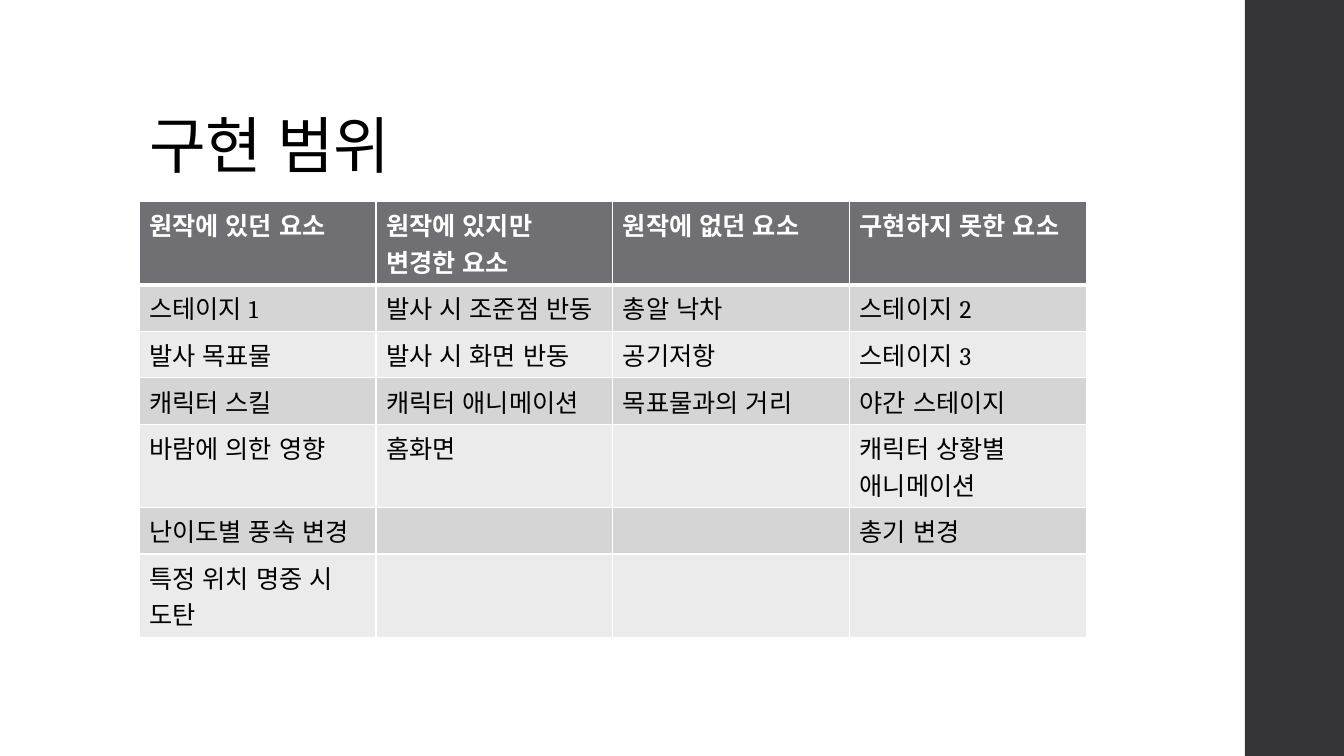
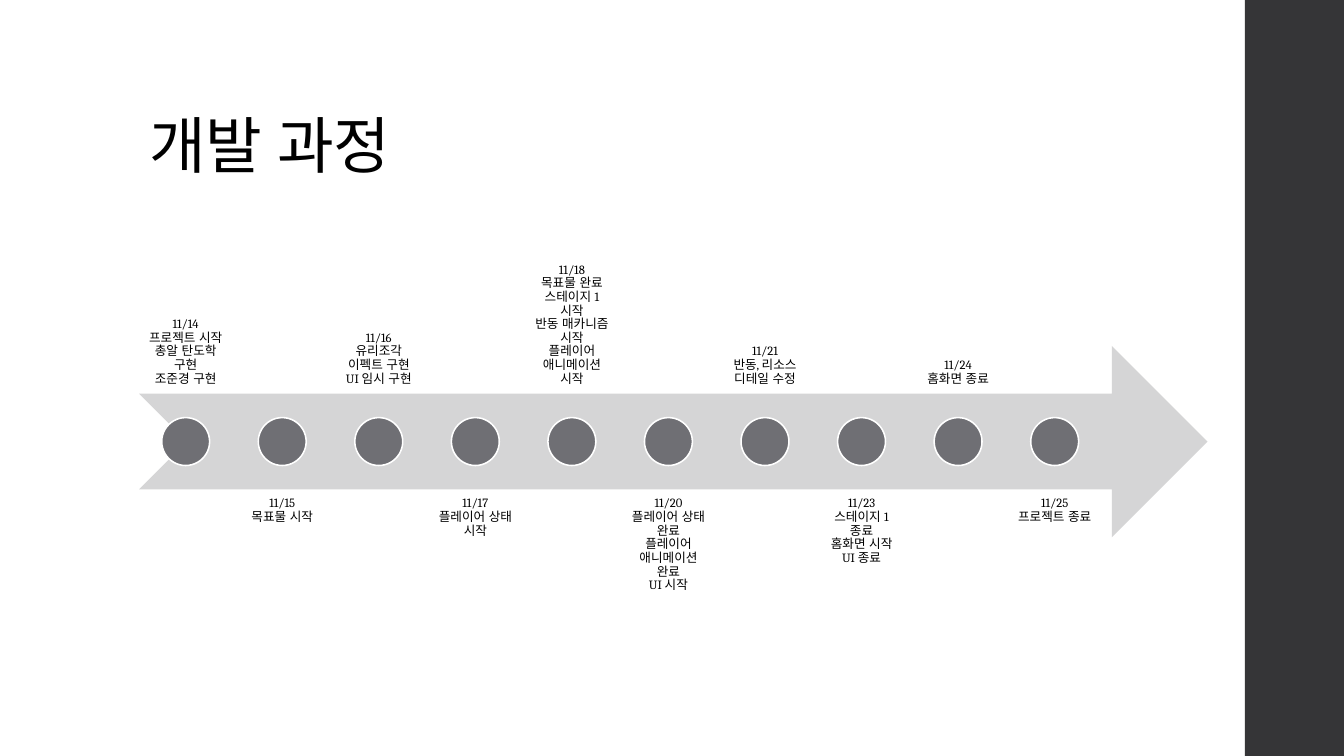
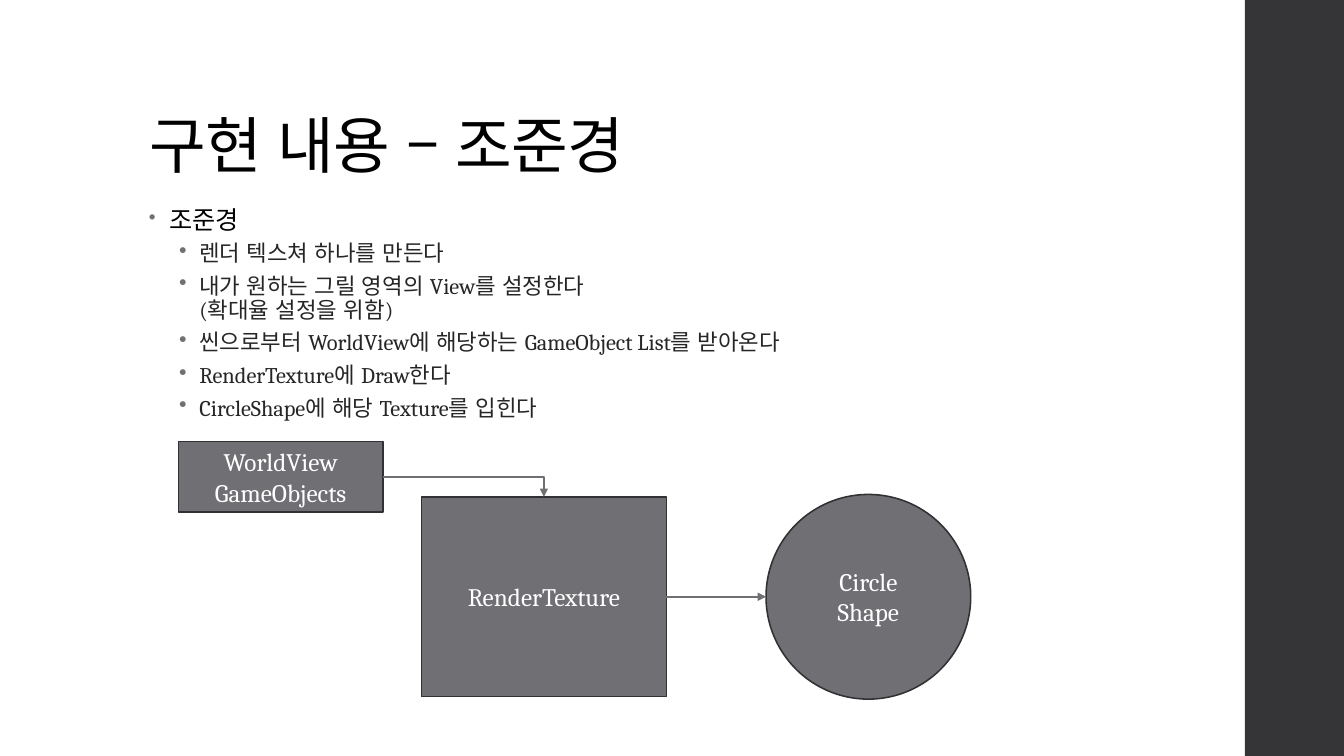
import copy
import dataclasses
import typing

import pptx
import pptx.dml.color
import pptx.enum.lang
import pptx.enum.shapes
import pptx.enum.text
import pptx.oxml
import pptx.oxml.ns
import pptx.util

Pt = pptx.util.Pt
qn = pptx.oxml.ns.qn
SHAPE = pptx.enum.shapes.MSO_SHAPE
CONNECTOR = pptx.enum.shapes.MSO_CONNECTOR
ANCHOR = pptx.enum.text.MSO_ANCHOR
ALIGN = pptx.enum.text.PP_ALIGN

FONT = "Cambria"
BLACK, WHITE, INK = "000000", "FFFFFF", "262626"
CHARCOAL, OUTLINE, GRAY = "353537", "313133", "6F6F74"
PALE, PALER = "D5D5D6", "EBEBEB"

SLIDE_WIDTH, SLIDE_HEIGHT = 960, 540
MARGIN_LEFT = 99.36
CONTENT_TOP = 144
CONTENT_WIDTH = 676.8
FULL_WIDTH = 763.2


@dataclasses.dataclass(frozen=True)
class Box:
    left: float
    top: float
    width: float
    height: float

    @property
    def lengths(self) -> tuple:
        return Pt(self.left), Pt(self.top), Pt(self.width), Pt(self.height)


@dataclasses.dataclass(frozen=True)
class Bullet:
    text: str
    level: int = 1


@dataclasses.dataclass(frozen=True)
class BulletStyle:
    size: float
    color: str
    margin: float
    line_spacing: float
    before: float
    after: float
    bullet_percent: int
    tracking: float


@dataclasses.dataclass(frozen=True)
class Node:
    text: str
    kind: typing.Any
    box: Box


@dataclasses.dataclass(frozen=True)
class Link:
    source: int
    target: int
    source_site: int
    target_site: int
    start: tuple[float, float]
    end: tuple[float, float]
    bent: bool = False


SCOPE_ROWS = [
    ["원작에 있던 요소", "원작에 있지만 변경한 요소", "원작에 없던 요소", "구현하지 못한 요소"],
    ["스테이지 1", "발사 시 조준점 반동", "총알 낙차", "스테이지 2"],
    ["발사 목표물", "발사 시 화면 반동", "공기저항", "스테이지 3"],
    ["캐릭터 스킬", "캐릭터 애니메이션", "목표물과의 거리", "야간 스테이지"],
    ["바람에 의한 영향", "홈화면", "", "캐릭터 상황별\n애니메이션"],
    ["난이도별 풍속 변경", "", "", "총기 변경"],
    ["특정 위치 명중 시 도탄", "", "", ""],
]

MILESTONES = [
    "11/14\n프로젝트 시작\n총알 탄도학 구현\n조준경 구현",
    "11/15\n목표물 시작",
    "11/16\n유리조각 이펙트 구현\nUI 임시 구현",
    "11/17\n플레이어 상태 시작",
    "11/18\n목표물 완료\n스테이지 1 시작\n반동 매카니즘 시작\n플레이어 애니메이션 시작",
    "11/20\n플레이어 상태 완료\n플레이어 애니메이션 완료\nUI 시작",
    "11/21\n반동, 리소스 디테일 수정",
    "11/23\n스테이지 1 종료\n홈화면 시작\nUI 종료",
    "11/24\n홈화면 종료",
    "11/25\n프로젝트 종료",
]

SCOPE_STEPS = [
    Bullet("조준경", 0),
    Bullet("렌더 텍스쳐 하나를 만든다"),
    Bullet("내가 원하는 그릴 영역의 View를 설정한다\n(확대율 설정을 위함)"),
    Bullet("씬으로부터 WorldView에 해당하는 GameObject List를 받아온다"),
    Bullet("RenderTexture에 Draw한다"),
    Bullet("CircleShape에 해당 Texture를 입힌다"),
]

BULLET_STYLES = [
    BulletStyle(18, BLACK, 14.4, 0.95, 14, 2, 80, 0.1),
    BulletStyle(16, INK, 36, 0.9, 3, 3, 100, 0),
]

NODES = [
    Node("RenderTexture", SHAPE.RECTANGLE, Box(301, 355, 175, 142.6)),
    Node("Circle\nShape", SHAPE.OVAL, Box(547.2, 353.2, 146.2, 146.2)),
    Node("WorldView\nGameObjects", SHAPE.RECTANGLE, Box(127.4, 315.4, 146.2, 50.4)),
]

LINKS = [
    Link(0, 1, 3, 2, (476, 426.3), (547.2, 426.3)),
    Link(2, 0, 3, 0, (273.6, 340.6), (388.5, 355), bent=True),
]


def rgb(color: str) -> pptx.dml.color.RGBColor:
    return pptx.dml.color.RGBColor.from_string(color)


def add_xml(parent: typing.Any, tag: str, **attributes: str) -> typing.Any:
    child = pptx.oxml.parse_xml(f"<{tag} {pptx.oxml.ns.nsdecls('a')}/>")
    for key, value in attributes.items():
        child.set(key, value)
    parent.append(child)
    return child


def style_paragraph(paragraph: typing.Any, size: float, color: str, bold: bool = False,
                    tracking: float = 0) -> None:
    for run in paragraph.runs:
        run.font.name = FONT
        run.font.size = Pt(size)
        run.font.bold = bold
        run.font.color.rgb = rgb(color)
        run.font.language_id = pptx.enum.lang.MSO_LANGUAGE_ID.KOREAN
        if tracking:
            run.font._element.set("spc", str(round(tracking * 100)))
    for line_break in paragraph._p.findall(qn("a:br")):
        line_break.append(copy.deepcopy(paragraph.runs[0].font._element))


def add_shape(slide: typing.Any, kind: typing.Any, box: Box, fill: str,
              outline: str | None = None) -> typing.Any:
    shape = slide.shapes.add_shape(kind, *box.lengths)
    shape.shadow.inherit = False
    shape.fill.solid()
    shape.fill.fore_color.rgb = rgb(fill)
    if outline:
        shape.line.color.rgb = rgb(outline)
        shape.line.width = Pt(1.1)
    else:
        shape.line.fill.background()
    return shape


def add_titled_slide(deck: typing.Any, heading: str) -> typing.Any:
    slide = deck.slides.add_slide(deck.slide_layouts[5])
    band_left = 889.2
    add_shape(slide, SHAPE.RECTANGLE,
              Box(band_left, 0, SLIDE_WIDTH - band_left, SLIDE_HEIGHT), CHARCOAL)
    title = slide.shapes.title
    title.left, title.top, title.width, title.height = Box(
        MARGIN_LEFT, 28.8, FULL_WIDTH, 104.4).lengths
    frame = title.text_frame
    frame.auto_size = pptx.enum.text.MSO_AUTO_SIZE.NONE
    frame.vertical_anchor = ANCHOR.BOTTOM
    paragraph = frame.paragraphs[0]
    paragraph.text = heading
    paragraph.alignment = ALIGN.LEFT
    paragraph.line_spacing = 0.9
    style_paragraph(paragraph, 44, BLACK, tracking=-0.5)
    return slide


def add_text_frame(slide: typing.Any, box: Box) -> typing.Any:
    frame = slide.shapes.add_textbox(*box.lengths).text_frame
    frame.word_wrap = True
    return frame


def add_cell_borders(cell: typing.Any, top: float, bottom: float) -> None:
    properties = cell._tc.get_or_add_tcPr()
    for side, width in (("L", 1), ("R", 1), ("T", top), ("B", bottom)):
        border = add_xml(properties, f"a:ln{side}", w=str(Pt(width)))
        add_xml(add_xml(border, "a:solidFill"), "a:srgbClr", val=WHITE)


def draw_scope(slide: typing.Any) -> None:
    row_height = 29.2
    columns = len(SCOPE_ROWS[0])
    box = Box(MARGIN_LEFT, CONTENT_TOP, CONTENT_WIDTH, row_height * len(SCOPE_ROWS))
    table = slide.shapes.add_table(len(SCOPE_ROWS), columns, *box.lengths).table
    for column in table.columns:
        column.width = Pt(CONTENT_WIDTH / columns)
    for row, texts in enumerate(SCOPE_ROWS):
        header = row == 0
        table.rows[row].height = Pt(row_height)
        fill = GRAY if header else PALE if row % 2 else PALER
        for column, text in enumerate(texts):
            cell = table.cell(row, column)
            add_cell_borders(cell, 3 if row == 1 else 1, 3 if header else 1)
            cell.fill.solid()
            cell.fill.fore_color.rgb = rgb(fill)
            cell.text_frame.text = text
            for paragraph in cell.text_frame.paragraphs:
                style_paragraph(paragraph, 18, WHITE if header else BLACK, bold=header)


def draw_timeline(slide: typing.Any) -> None:
    arrow = Box(MARGIN_LEFT, 247, FULL_WIDTH, 136.8)
    first_center, step = 132.6, 68.97
    dot_size, label_width = 34.2, 65.5
    dot_top = arrow.top + (arrow.height - dot_size) / 2
    add_shape(slide, SHAPE.NOTCHED_RIGHT_ARROW, arrow, PALE)
    for index, text in enumerate(MILESTONES):
        center = first_center + step * index
        above = index % 2 == 0
        frame = add_text_frame(slide, Box(
            center - label_width / 2, CONTENT_TOP if above else 349.9,
            label_width, arrow.height))
        frame.vertical_anchor = ANCHOR.BOTTOM if above else ANCHOR.TOP
        frame.margin_left = frame.margin_right = Pt(5.04)
        frame.margin_top = frame.margin_bottom = Pt(5.04)
        paragraph = frame.paragraphs[0]
        paragraph.text = text
        paragraph.alignment = ALIGN.CENTER
        paragraph.line_spacing = 0.9
        style_paragraph(paragraph, 9, BLACK)
        add_shape(slide, SHAPE.OVAL,
                  Box(center - dot_size / 2, dot_top, dot_size, dot_size), GRAY, WHITE)


def draw_bullets(slide: typing.Any) -> None:
    frame = add_text_frame(slide, Box(MARGIN_LEFT, CONTENT_TOP, CONTENT_WIDTH, 342.7))
    for index, bullet in enumerate(SCOPE_STEPS):
        style = BULLET_STYLES[bullet.level]
        paragraph = frame.add_paragraph() if index else frame.paragraphs[0]
        paragraph.text = bullet.text
        paragraph.level = bullet.level
        paragraph.line_spacing = style.line_spacing
        paragraph.space_before = Pt(style.before)
        paragraph.space_after = Pt(style.after)
        style_paragraph(paragraph, style.size, style.color, tracking=style.tracking)
        properties = paragraph._p.get_or_add_pPr()
        properties.set("marL", str(Pt(style.margin)))
        properties.set("indent", str(Pt(-14.4)))
        add_xml(add_xml(properties, "a:buClr"), "a:srgbClr", val=GRAY)
        add_xml(properties, "a:buSzPct", val=str(style.bullet_percent * 1000))
        add_xml(properties, "a:buChar", char="•")


def add_node(slide: typing.Any, node: Node) -> typing.Any:
    shape = add_shape(slide, node.kind, node.box, GRAY, OUTLINE)
    shape.text_frame.vertical_anchor = ANCHOR.MIDDLE
    paragraph = shape.text_frame.paragraphs[0]
    paragraph.text = node.text
    paragraph.alignment = ALIGN.CENTER
    style_paragraph(paragraph, 18, WHITE)
    return shape


def add_link(slide: typing.Any, link: Link, nodes: list) -> None:
    kind = CONNECTOR.ELBOW if link.bent else CONNECTOR.STRAIGHT
    ends = [Pt(value) for value in link.start + link.end]
    connector = slide.shapes.add_connector(kind, *ends)
    connector.begin_connect(nodes[link.source], link.source_site)
    connector.end_connect(nodes[link.target], link.target_site)
    connector.begin_x, connector.begin_y, connector.end_x, connector.end_y = ends
    connector.line.color.rgb = rgb(GRAY)
    connector.line.width = Pt(1.5)
    properties = connector._element.spPr
    add_xml(properties.find(qn("a:ln")), "a:tailEnd", type="triangle")
    add_xml(properties, "a:effectLst")
    if link.bent:
        properties.find(qn("a:prstGeom")).set("prst", "bentConnector2")


def draw_scope_rendering(slide: typing.Any) -> None:
    draw_bullets(slide)
    nodes = [add_node(slide, node) for node in NODES]
    for link in LINKS:
        add_link(slide, link, nodes)


def main() -> None:
    deck = pptx.Presentation()
    deck.slide_width, deck.slide_height = Pt(SLIDE_WIDTH), Pt(SLIDE_HEIGHT)
    draw_scope(add_titled_slide(deck, "구현 범위"))
    draw_timeline(add_titled_slide(deck, "개발 과정"))
    draw_scope_rendering(add_titled_slide(deck, "구현 내용 – 조준경"))
    deck.save("out.pptx")


if __name__ == "__main__":
    main()
